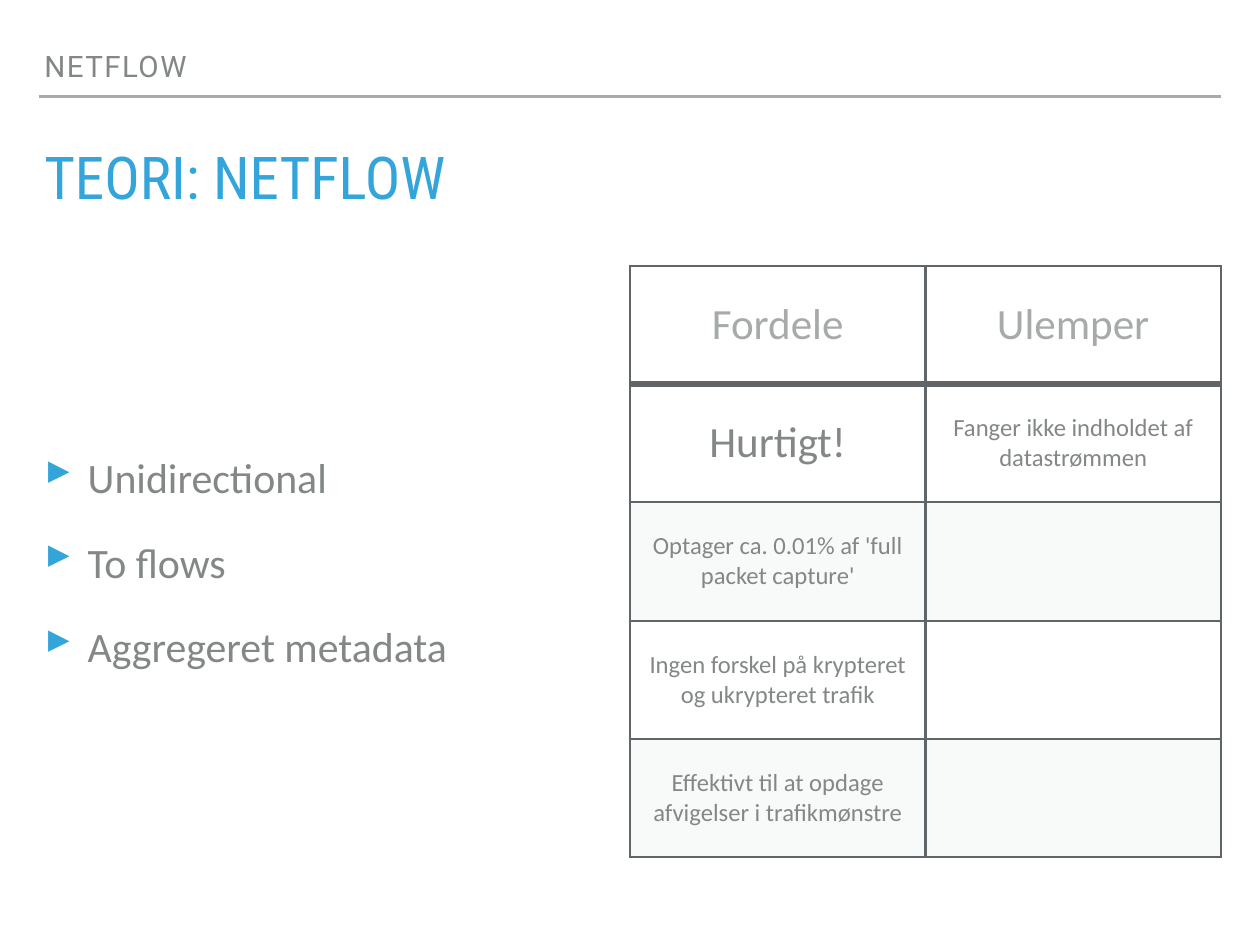
from lxml.etree import SubElement
from pptx import Presentation
from pptx.dml.color import RGBColor
from pptx.enum.shapes import MSO_CONNECTOR
from pptx.enum.text import MSO_ANCHOR, PP_ALIGN
from pptx.oxml.ns import qn
from pptx.util import Inches, Pt

COLORS = {
    "text": "838787",
    "muted": "A6AAA9",
    "accent": "34A5DA",
    "border": "5F6568",
    "band": "DCDEE0",
}
INSET = Inches(0.06)
LEFT = 0.44
RIGHT = 13.78

BULLETS = ["Unidirectional", "To flows", "Aggregeret metadata"]
COMPARISON = [
    ["Fordele", "Ulemper"],
    ["Hurtigt!", "Fanger ikke indholdet af datastrømmen"],
    ["Optager ca. 0.01% af 'full packet capture'", ""],
    ["Ingen forskel på krypteret og ukrypteret trafik", ""],
    ["Effektivt til at opdage afvigelser i trafikmønstre", ""],
]


def rgb(name):
    return RGBColor.from_string(COLORS[name])


def write(paragraph, text, size, color="text", font="Calibri", align=None,
          before=0, leading=None, tracking=None):
    paragraph.alignment = align
    paragraph.space_before = Pt(before)
    paragraph.line_spacing = leading
    run = paragraph.add_run()
    run.text = text
    run.font.size = Pt(size)
    run.font.name = font
    run.font.color.rgb = rgb(color)
    if tracking:
        run.font._element.set("spc", str(int(tracking * 100)))


def add_frame(slide, box, anchor):
    frame = slide.shapes.add_textbox(*map(Inches, box)).text_frame
    frame.word_wrap = True
    frame.vertical_anchor = anchor
    frame.margin_left = frame.margin_right = INSET
    frame.margin_top = frame.margin_bottom = INSET
    return frame


def add_bullet(paragraph):
    properties = paragraph._p.get_or_add_pPr()
    properties.set("marL", str(Inches(0.49)))
    properties.set("indent", str(-Inches(0.49)))
    bullet_color = SubElement(properties, qn("a:buClr"))
    SubElement(bullet_color, qn("a:srgbClr"), val=COLORS["accent"])
    SubElement(properties, qn("a:buSzPct"), val="105000")
    SubElement(properties, qn("a:buChar"), char="▸")


def add_border(cell, side, width):
    line = SubElement(cell._tc.get_or_add_tcPr(), qn(f"a:ln{side}"), w=str(Pt(width)))
    fill = SubElement(line, qn("a:solidFill"))
    SubElement(fill, qn("a:srgbClr"), val=COLORS["border"])


def fill_band(cell):
    cell.fill.solid()
    cell.fill.fore_color.rgb = rgb("band")
    band_color = cell._tc.tcPr.find(".//" + qn("a:srgbClr"))
    if cell._tc.tcPr.find(qn("a:solidFill")) is not None:
        band_color = cell._tc.tcPr.find(qn("a:solidFill"))[0]
    SubElement(band_color, qn("a:alpha"), val="18000")


def build_header(slide, box):
    left, top, width, height = box
    section = add_frame(slide, (left, top, width, height), MSO_ANCHOR.BOTTOM)
    write(section.paragraphs[0], "NETFLOW", 24, font="Roboto", leading=0.8, tracking=1.2)
    rule_y = Inches(top + height + 0.09)
    rule = slide.shapes.add_connector(
        MSO_CONNECTOR.STRAIGHT, Inches(left), rule_y, Inches(left + width), rule_y)
    rule.line.color.rgb = rgb("muted")
    rule.line.width = Pt(2)
    SubElement(rule._element.spPr, qn("a:effectLst"))


def build_title(slide, box):
    title = add_frame(slide, box, MSO_ANCHOR.TOP)
    write(title.paragraphs[0], "TEORI: NETFLOW", 48, color="accent",
          font="Roboto Condensed", before=22, leading=0.8)


def build_bullets(slide, box):
    points = add_frame(slide, box, MSO_ANCHOR.MIDDLE)
    for index, point in enumerate(BULLETS):
        paragraph = points.add_paragraph() if index else points.paragraphs[0]
        write(paragraph, point, 34, before=28)
        add_bullet(paragraph)


def build_comparison(slide, box):
    row_count, column_count = len(COMPARISON), len(COMPARISON[0])
    left, top, width, height = map(Inches, box)
    table = slide.shapes.add_table(row_count, column_count, left, top, width, height).table
    table.first_row = table.horz_banding = False
    for row_index, row in enumerate(COMPARISON):
        table.rows[row_index].height = height // row_count
        for column_index, entry in enumerate(row):
            cell = table.cell(row_index, column_index)
            cell.vertical_anchor = MSO_ANCHOR.MIDDLE
            cell.margin_left = cell.margin_right = INSET
            cell.margin_top = cell.margin_bottom = INSET
            if entry:
                write(cell.text_frame.paragraphs[0], entry,
                      35 if row_index == 0 or entry == "Hurtigt!" else 20,
                      color="text" if row_index else "muted",
                      align=PP_ALIGN.CENTER, before=24)
            for side in "LRTB":
                under_header = (row_index, side) in [(0, "B"), (1, "T")]
                add_border(cell, side, 5 if under_header else 2)
            if row_index and row_index % 2 == 0:
                fill_band(cell)
            else:
                cell.fill.background()


def main():
    presentation = Presentation()
    presentation.slide_width = Inches(14.22)
    presentation.slide_height = Inches(10.67)
    slide = presentation.slides.add_slide(presentation.slide_layouts[6])
    build_header(slide, (LEFT, 0.5, RIGHT - LEFT, 0.5))
    build_title(slide, (LEFT, 1.68, RIGHT - LEFT, 0.79))
    build_bullets(slide, (LEFT, 3, 6.42, 6.68))
    build_comparison(slide, (7.11, 3, RIGHT - 7.11, 6.68))
    presentation.save("out.pptx")


if __name__ == "__main__":
    main()
